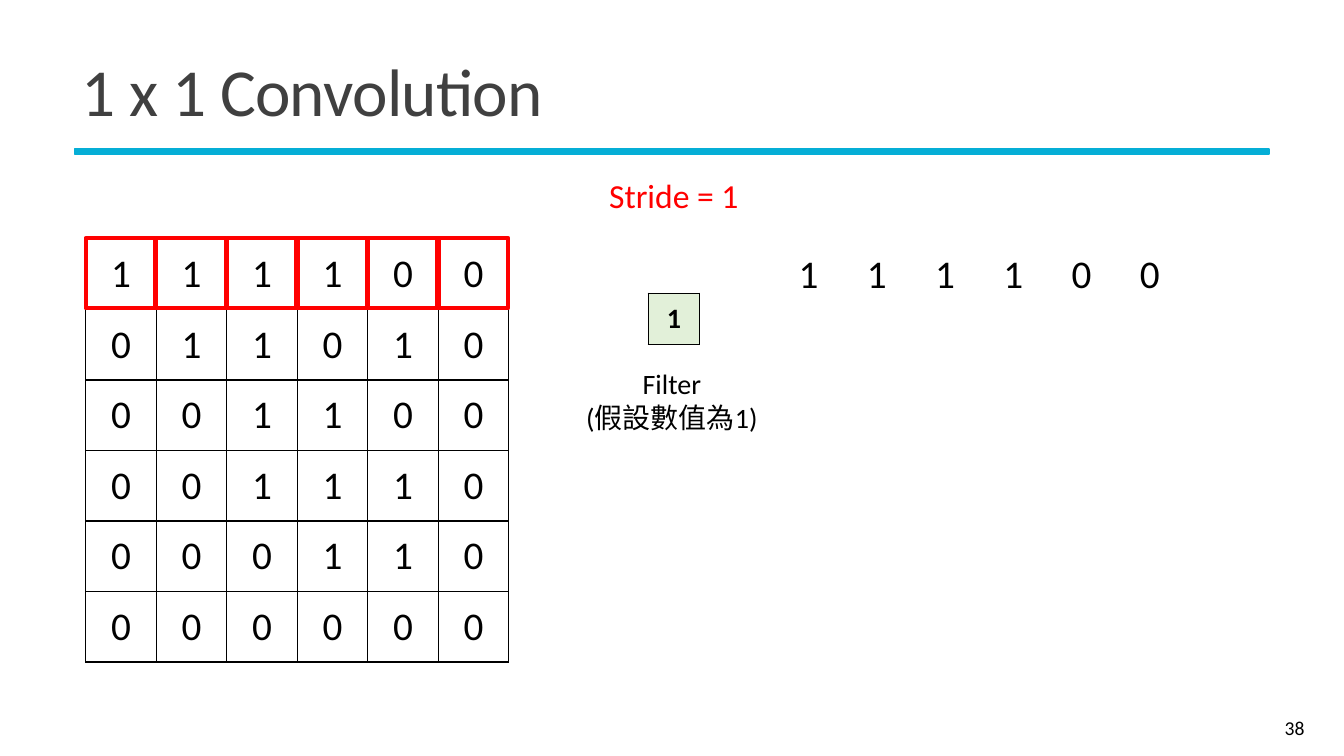
import dataclasses
import typing

import pptx
import pptx.dml.color
import pptx.enum.shapes
import pptx.enum.text
import pptx.oxml
import pptx.oxml.ns
import pptx.util

ALIGN = pptx.enum.text.PP_ALIGN
ANCHOR = pptx.enum.text.MSO_ANCHOR
FONT = "Calibri"
COLOURS = {
    "accent": "05AED6",
    "title": "404040",
    "ink": "000000",
    "highlight": "FF0000",
    "filter": "E2F0D9",
}
SLIDE_WIDTH = pptx.util.Inches(13.333)
SLIDE_HEIGHT = pptx.util.Inches(7.5)

INPUT_ROWS = ["111100", "011010", "001100", "001110", "000110", "000000"]
OUTPUT_ROW = "111100"
CELL_WIDTH, CELL_HEIGHT = 5.25, 9.33
OUTPUT_STEP = 5.08


@dataclasses.dataclass(frozen=True)
class Area:
    """A rectangle in percent of the slide's width and height."""

    left: float
    top: float
    width: float
    height: float

    def shifted(self, distance: float) -> "Area":
        return dataclasses.replace(self, left=self.left + distance)

    def lengths(self) -> tuple[int, int, int, int]:
        return (
            round(self.left * SLIDE_WIDTH / 100),
            round(self.top * SLIDE_HEIGHT / 100),
            round(self.width * SLIDE_WIDTH / 100),
            round(self.height * SLIDE_HEIGHT / 100),
        )


@dataclasses.dataclass(frozen=True)
class Label:
    text: str
    area: Area
    style: dict[str, typing.Any]


@dataclasses.dataclass(frozen=True)
class Grid:
    rows: list[str]
    area: Area
    margins: tuple[float, float]
    fill: str | None
    style: dict[str, typing.Any]


FIRST_HIGHLIGHT = Area(6.38, 31.47, 5.18, CELL_HEIGHT)
FIRST_OUTPUT = Area(57.83, 32.33, 4.65, 7.6)
GRIDS = [
    Grid(
        INPUT_ROWS,
        Area(6.38, 31.6, 6 * CELL_WIDTH, 6 * CELL_HEIGHT),
        (0.09, 0.05),
        None,
        {"size": 28},
    ),
    Grid(["1"], Area(48.23, 38.8, 3.83, 6.8), (0.07, 0.03), "filter", {"size": 20, "bold": True}),
]
LABELS = [
    Label(
        "1 x 1 Convolution",
        Area(5.33, 5.2, 89.55, 15.07),
        {
            "size": 48,
            "colour": "title",
            "align": ALIGN.LEFT,
            "anchor": ANCHOR.MIDDLE,
            "line_spacing": 0.85,
            "tracking": -0.5,
        },
    ),
    Label(
        "38",
        Area(87.08, 93.6, 10.73, 5.33),
        {"size": 14, "align": ALIGN.RIGHT, "anchor": ANCHOR.MIDDLE},
    ),
    Label("Stride = 1", Area(44.4, 22.53, 11.48, 6.67), {"size": 24, "colour": "highlight"}),
    Label("Filter\n(假設數值為1)", Area(42.23, 47.87, 15.53, 10.27), {"size": 20}),
]


def rgb(name: str) -> pptx.dml.color.RGBColor:
    return pptx.dml.color.RGBColor.from_string(COLOURS[name])


def write(
    frame,
    text: str,
    *,
    size: float,
    colour: str = "ink",
    bold: bool = False,
    align=ALIGN.CENTER,
    anchor=ANCHOR.TOP,
    line_spacing: float | None = None,
    tracking: float = 0,
) -> None:
    frame.word_wrap = True
    frame.vertical_anchor = anchor
    for index, line in enumerate(text.split("\n")):
        para = frame.add_paragraph() if index else frame.paragraphs[0]
        para.alignment = align
        para.line_spacing = line_spacing
        span = para.add_run()
        span.text = line
        span.font.name = FONT
        span.font.size = pptx.util.Pt(size)
        span.font.bold = bold
        span.font.color.rgb = rgb(colour)
        if tracking:
            span.font._element.set("spc", str(round(tracking * 100)))


def add_label(slide, label: Label) -> None:
    box = slide.shapes.add_textbox(*label.area.lengths())
    write(box.text_frame, label.text, **label.style)


def add_box(slide, area: Area, line: str, weight: float, fill: str | None = None) -> None:
    box = slide.shapes.add_shape(
        pptx.enum.shapes.MSO_SHAPE.RECTANGLE, *area.lengths()
    )
    box.shadow.inherit = False
    box.line.color.rgb = rgb(line)
    box.line.width = pptx.util.Pt(weight)
    set_fill(box, fill)


def set_fill(target, fill: str | None) -> None:
    if fill is None:
        target.fill.background()
    else:
        target.fill.solid()
        target.fill.fore_color.rgb = rgb(fill)


def add_borders(cell) -> None:
    properties = cell._tc.get_or_add_tcPr()
    for position, side in enumerate(("lnL", "lnR", "lnT", "lnB")):
        border = pptx.oxml.parse_xml(
            f'<a:{side} {pptx.oxml.ns.nsdecls("a")} w="12700"><a:solidFill>'
            f'<a:srgbClr val="{COLOURS["ink"]}"/></a:solidFill></a:{side}>'
        )
        properties.insert(position, border)


def add_grid(slide, grid: Grid) -> None:
    frame = slide.shapes.add_table(
        len(grid.rows), len(grid.rows[0]), *grid.area.lengths()
    )
    table = frame.table
    table.first_row = table.horz_banding = False
    side, end = map(pptx.util.Inches, grid.margins)
    for row, digits in enumerate(grid.rows):
        for column, digit in enumerate(digits):
            cell = table.cell(row, column)
            cell.margin_left = cell.margin_right = side
            cell.margin_top = cell.margin_bottom = end
            cell.vertical_anchor = ANCHOR.MIDDLE
            set_fill(cell, grid.fill)
            add_borders(cell)
            write(cell.text_frame, digit, anchor=None, **grid.style)


def main() -> None:
    deck = pptx.Presentation()
    deck.slide_width, deck.slide_height = SLIDE_WIDTH, SLIDE_HEIGHT
    slide = deck.slides.add_slide(deck.slide_layouts[6])
    add_box(slide, Area(5.55, 19.73, 88.88, 0.67), "accent", 1.25, fill="accent")
    for grid in GRIDS:
        add_grid(slide, grid)
    for label in LABELS:
        add_label(slide, label)
    for column, digit in enumerate(OUTPUT_ROW):
        add_box(slide, FIRST_HIGHLIGHT.shifted(column * CELL_WIDTH), "highlight", 3)
        output = FIRST_OUTPUT.shifted(column * OUTPUT_STEP)
        add_label(slide, Label(digit, output, {"size": 28}))
    deck.save("out.pptx")


if __name__ == "__main__":
    main()
